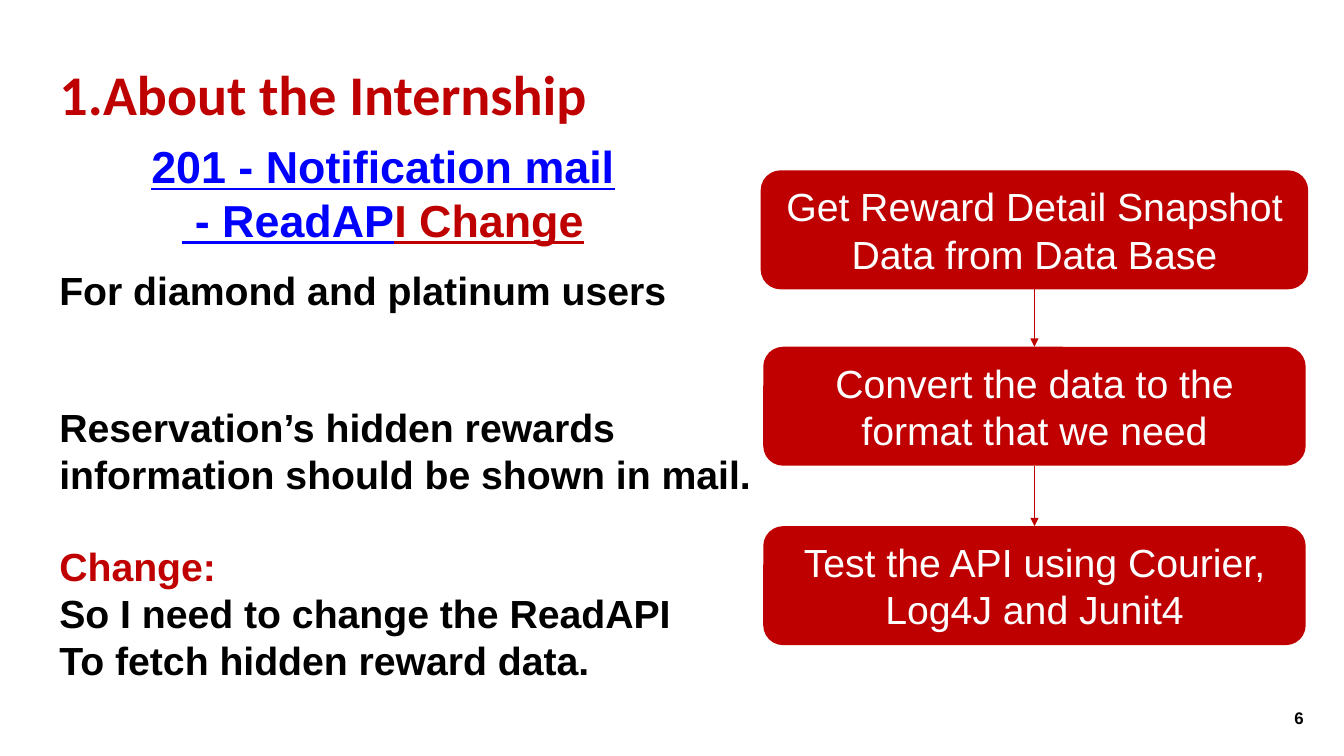
from dataclasses import dataclass

from lxml.etree import SubElement
from pptx import Presentation
from pptx.dml.color import RGBColor
from pptx.enum.shapes import MSO_CONNECTOR, MSO_SHAPE
from pptx.enum.text import MSO_ANCHOR, MSO_AUTO_SIZE, PP_ALIGN
from pptx.oxml.ns import qn
from pptx.util import Inches, Pt

RED = "BF0000"
BLACK = "000000"
BLUE = "0000FF"
CENTER_X = 10.26
STEP_HEIGHT = 1.18
BLANK_LINE = 32.2


@dataclass
class Line:
    text: str
    color: str = BLACK
    before: float = 0


@dataclass
class Step:
    text: str
    top: float
    width: float
    fill: str


BODY = [
    Line("For diamond and platinum users"),
    Line("Reservation’s hidden rewards information should be shown in mail.", before=2 * BLANK_LINE),
    Line("Change:", "C00000", BLANK_LINE),
    Line("So I need to change the ReadAPI"),
    Line("To fetch hidden reward data."),
]
HEADING = [
    [Line("201 - Notification mail", BLUE)],
    [Line(" - ReadAP", BLUE), Line("I Change", RED)],
]
STEPS = [
    Step("Get Reward Detail Snapshot Data from Data Base", 1.69, 5.43, RED),
    Step("Convert the data to the format that we need", 3.44, 5.38, "C00000"),
    Step("Test the API using Courier, Log4J and Junit4", 5.22, 5.38, RED),
]


def rgb(color: str) -> RGBColor:
    return RGBColor.from_string(color)


def set_font(font, size: float, color: str, bold: bool = True, name: str = "Arial") -> None:
    font.name = name
    font.size = Pt(size)
    font.bold = bold
    font.color.rgb = rgb(color)


def add_text_box(s, left: float, top: float, width: float, height: float):
    tf = s.shapes.add_textbox(Inches(left), Inches(top), Inches(width), Inches(height)).text_frame
    tf.word_wrap = True
    return tf


def next_paragraph(tf, index: int):
    return tf.add_paragraph() if index else tf.paragraphs[0]


def set_title(s) -> None:
    sp = s.shapes.title
    sp.left, sp.top, sp.width, sp.height = Inches(0.51), Inches(0.39), Inches(10.26), Inches(1.07)
    tf = sp.text_frame
    tf.auto_size = MSO_AUTO_SIZE.NONE
    tf.vertical_anchor = MSO_ANCHOR.MIDDLE
    tf.margin_left = tf.margin_right = tf.margin_top = tf.margin_bottom = Inches(0.08)
    p = tf.paragraphs[0]
    p.text = "1.About the Internship"
    p.alignment = PP_ALIGN.LEFT
    p.space_after = Pt(8)
    set_font(p.font, 40, RED, name="Calibri")


def add_heading(s) -> None:
    tf = add_text_box(s, 1.19, 1.33, 5.22, 1.18)
    for i, parts in enumerate(HEADING):
        p = next_paragraph(tf, i)
        p.alignment = PP_ALIGN.CENTER
        set_font(p.font, 32, parts[0].color)
        p.font.underline = True
        for part in parts:
            r = p.add_run()
            r.text = part.text
            r.font.color.rgb = rgb(part.color)


def add_body(s) -> None:
    tf = add_text_box(s, 0.49, 2.59, 7.09, 4.34)
    for i, line in enumerate(BODY):
        p = next_paragraph(tf, i)
        p.text = line.text
        if line.before:
            p.space_before = Pt(line.before)
        set_font(p.font, 28, line.color)


def add_step(s, step: Step):
    sp = s.shapes.add_shape(
        MSO_SHAPE.ROUNDED_RECTANGLE,
        Inches(CENTER_X - step.width / 2), Inches(step.top),
        Inches(step.width), Inches(STEP_HEIGHT),
    )
    sp.shadow.inherit = False
    sp.fill.solid()
    sp.fill.fore_color.rgb = rgb(step.fill)
    sp.line.fill.background()
    tf = sp.text_frame
    tf.word_wrap = True
    tf.vertical_anchor = MSO_ANCHOR.MIDDLE
    p = tf.paragraphs[0]
    p.text = step.text
    p.alignment = PP_ALIGN.CENTER
    set_font(p.font, 28, "FFFFFF", bold=False)
    return sp


def add_arrow(s, upper, lower) -> None:
    x = Inches(CENTER_X)
    cx = s.shapes.add_connector(MSO_CONNECTOR.STRAIGHT, x, upper.top + upper.height, x, lower.top)
    cx.begin_connect(upper, 2)
    cx.end_connect(lower, 0)
    cx.line.color.rgb = rgb(RED)
    cx.line.width = Pt(0.5)
    SubElement(cx.line._get_or_add_ln(), qn("a:tailEnd"), type="triangle")
    SubElement(cx._element.spPr, qn("a:effectLst"))


def add_page_number(s) -> None:
    tf = add_text_box(s, 12.14, 6.97, 0.84, 0.31)
    tf.vertical_anchor = MSO_ANCHOR.MIDDLE
    tf.margin_left = tf.margin_right = tf.margin_top = tf.margin_bottom = Inches(0.05)
    p = tf.paragraphs[0]
    p.text = "6"
    p.alignment = PP_ALIGN.RIGHT
    set_font(p.font, 12, BLACK)


def main() -> None:
    prs = Presentation()
    prs.slide_width, prs.slide_height = Inches(13.33), Inches(7.5)
    s = prs.slides.add_slide(prs.slide_layouts[5])
    set_title(s)
    add_heading(s)
    add_body(s)
    boxes = [add_step(s, step) for step in STEPS]
    for upper, lower in zip(boxes, boxes[1:]):
        add_arrow(s, upper, lower)
    add_page_number(s)
    prs.save("out.pptx")


if __name__ == "__main__":
    main()
